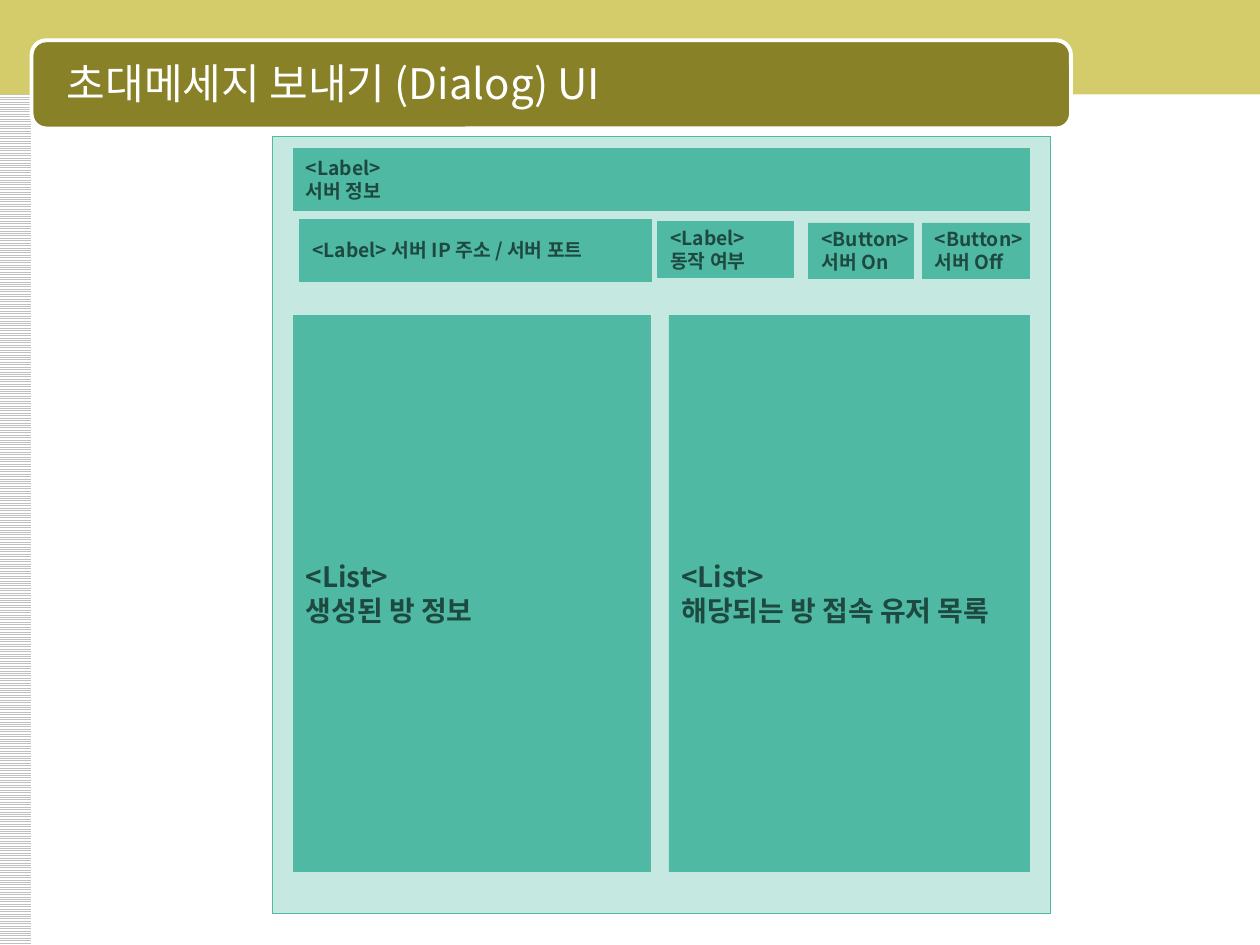
from dataclasses import dataclass

from lxml import etree
from pptx import Presentation
from pptx.dml.color import RGBColor
from pptx.enum.dml import MSO_PATTERN
from pptx.enum.shapes import MSO_SHAPE
from pptx.enum.text import MSO_ANCHOR, MSO_AUTO_SIZE, PP_ALIGN
from pptx.oxml.ns import qn
from pptx.util import Inches, Pt

RECTANGLE = MSO_SHAPE.RECTANGLE
ROUNDED = MSO_SHAPE.ROUNDED_RECTANGLE
LIGHT_HORIZONTAL = MSO_PATTERN.LIGHT_HORIZONTAL
MIDDLE = MSO_ANCHOR.MIDDLE
LEFT = PP_ALIGN.LEFT
NO_AUTOFIT = MSO_AUTO_SIZE.NONE


@dataclass(frozen=True)
class Theme:
    font: str = "Noto Sans CJK KR"
    white: RGBColor = RGBColor(0xFF, 0xFF, 0xFF)
    stripe: RGBColor = RGBColor(0xC0, 0xC0, 0xC0)
    band: RGBColor = RGBColor(0xD4, 0xCC, 0x6A)
    title_fill: RGBColor = RGBColor(0x88, 0x81, 0x28)
    dialog: RGBColor = RGBColor(0xC5, 0xE8, 0xE1)
    control: RGBColor = RGBColor(0x50, 0xB9, 0xA4)
    text: RGBColor = RGBColor(0x1D, 0x49, 0x40)
    title_size: int = 24
    list_size: int = 16
    label_size: int = 11


theme = Theme()


def add_box(kind, box, fill, line=None, line_width=0.5):
    shape = slide.shapes.add_shape(kind, *map(Inches, box))
    shape.shadow.inherit = False
    shape.fill.solid()
    shape.fill.fore_color.rgb = fill
    if line is None:
        shape.line.fill.background()
    else:
        shape.line.color.rgb = line
        shape.line.width = Pt(line_width)
    return shape


def write_lines(text_frame, lines, size, color, bold):
    text_frame.vertical_anchor = MIDDLE
    for index, line in enumerate(lines):
        paragraph = text_frame.add_paragraph() if index else text_frame.paragraphs[0]
        paragraph.alignment = LEFT
        run = paragraph.add_run()
        run.text = line
        run.font.name = theme.font
        run.font.size = Pt(size)
        run.font.bold = bold
        run.font.color.rgb = color
        east_asian = etree.SubElement(run.font._element, qn("a:ea"))
        east_asian.set("typeface", theme.font)


presentation = Presentation()
presentation.slide_width = Inches(10)
presentation.slide_height = Inches(7.5)
slide = presentation.slides.add_slide(presentation.slide_layouts[5])

side_strip = add_box(RECTANGLE, (-0.01, 0, 0.26, 7.5), theme.stripe)
side_strip.fill.patterned()
side_strip.fill.pattern = LIGHT_HORIZONTAL
side_strip.fill.fore_color.rgb = theme.stripe
side_strip.fill.back_color.rgb = theme.white
add_box(RECTANGLE, (-0.01, 0, 10.02, 0.75), theme.band)
add_box(ROUNDED, (0.25, 0.32, 8.25, 0.7), theme.title_fill, theme.white, 2.25)

title = slide.shapes.title
title.left, title.top, title.width, title.height = map(Inches, (0.33, 0.35, 8.08, 0.62))
title.text_frame.auto_size = NO_AUTOFIT
write_lines(title.text_frame, ["초대메세지 보내기 (Dialog) UI"], theme.title_size, theme.white, False)
title_properties = title.text_frame.paragraphs[0]._p.get_or_add_pPr()
title_properties.set("marL", str(Inches(0.49)))
title_properties.set("indent", str(Inches(-0.39)))
slide.shapes._spTree.append(title._element)

add_box(RECTANGLE, (2.16, 1.08, 6.18, 6.17), theme.dialog, theme.control)

controls = [
    ((2.33, 1.18, 5.84, 0.49), theme.label_size, ["<Label>", "서버 정보"]),
    ((2.33, 2.5, 2.83, 4.42), theme.list_size, ["<List>", "생성된 방 정보"]),
    ((2.38, 1.74, 2.79, 0.49), theme.label_size, ["<Label> 서버 IP 주소 / 서버 포트"]),
    ((5.22, 1.76, 1.08, 0.44), theme.label_size, ["<Label>", "동작 여부"]),
    ((6.42, 1.77, 0.83, 0.44), theme.label_size, ["<Button>", "서버 On"]),
    ((7.32, 1.77, 0.85, 0.44), theme.label_size, ["<Button>", "서버 Off"]),
    ((5.31, 2.5, 2.86, 4.42), theme.list_size, ["<List>", "해당되는 방 접속 유저 목록"]),
]
for box, size, lines in controls:
    control = add_box(RECTANGLE, box, theme.control, theme.control)
    control.text_frame.word_wrap = False
    write_lines(control.text_frame, lines, size, theme.text, True)

presentation.save("out.pptx")
